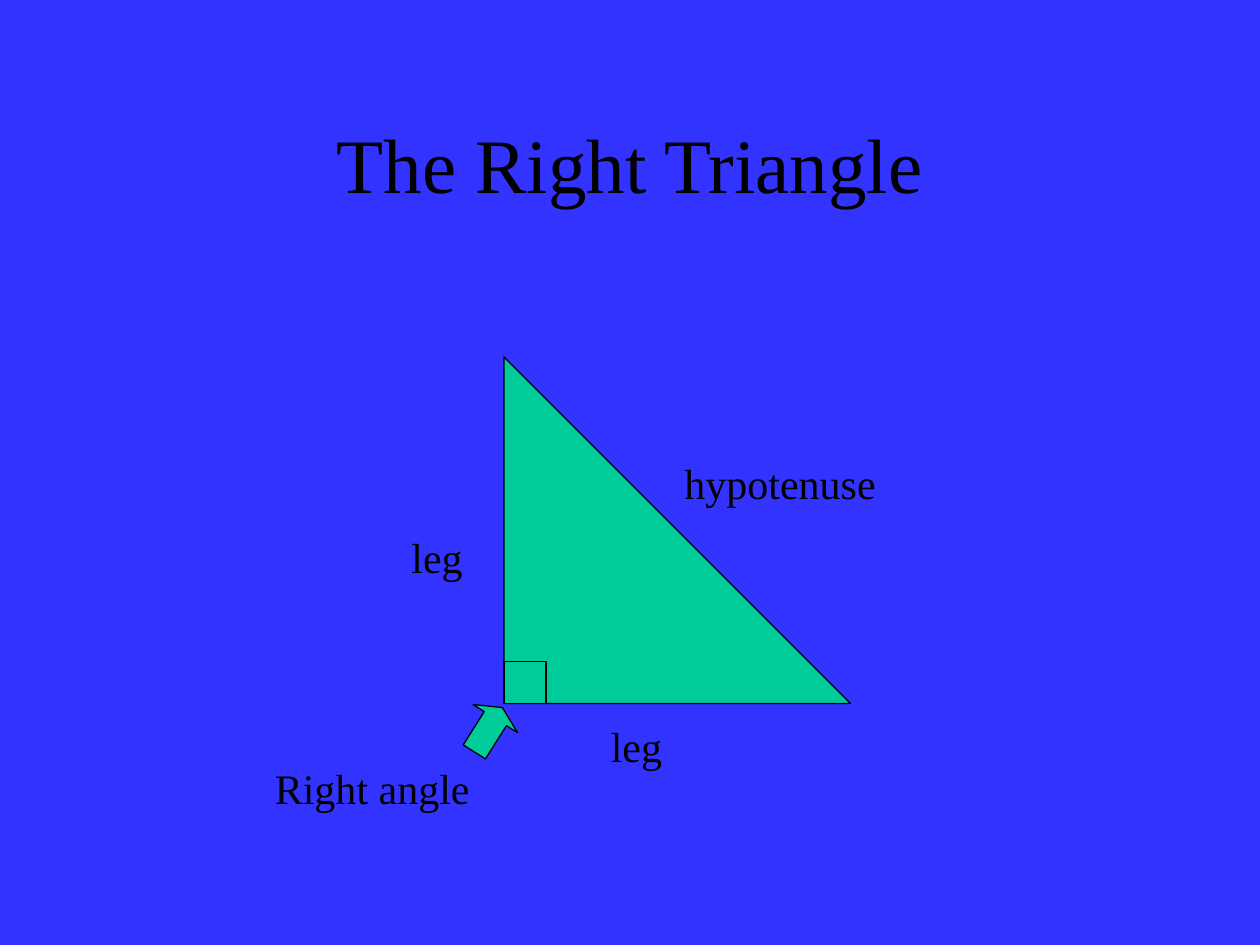
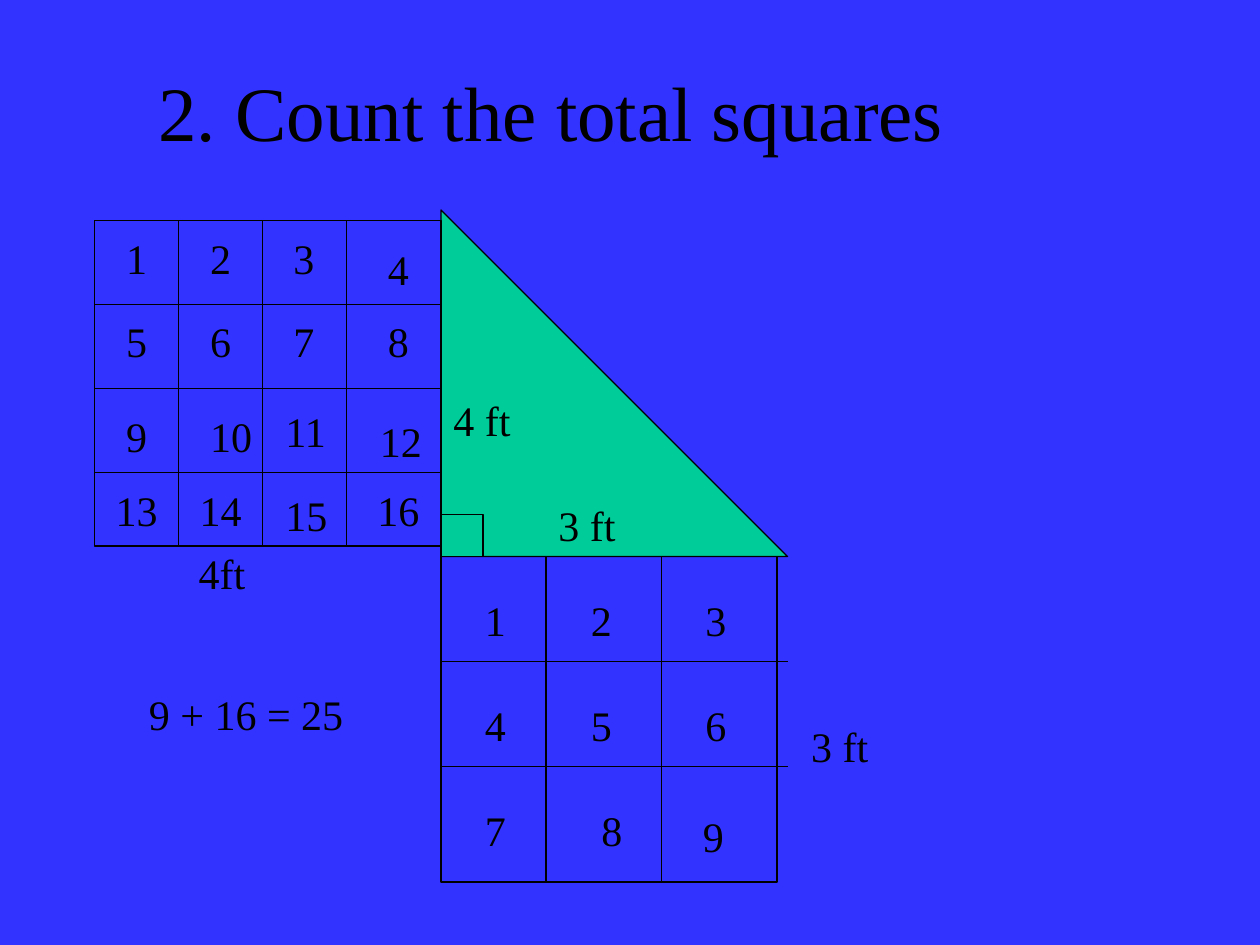
from dataclasses import dataclass

from lxml import etree
from pptx import Presentation
from pptx.dml.color import RGBColor
from pptx.enum import shapes, text
from pptx.oxml.ns import qn
from pptx.util import Pt


@dataclass(frozen=True)
class Theme:
    background: RGBColor = RGBColor(0x33, 0x33, 0xFF)
    triangle: RGBColor = RGBColor(0x00, 0xCC, 0x99)
    ink: RGBColor = RGBColor(0, 0, 0)
    font: str = "Times New Roman"
    title_size: int = 44
    label_size: int = 24
    line_width: float = 0.75


theme = Theme()


def write(shape, words, size, alignment, anchor):
    frame = shape.text_frame
    frame.text = words
    frame.word_wrap = False
    frame.auto_size = text.MSO_AUTO_SIZE.NONE
    frame.vertical_anchor = anchor
    paragraph = frame.paragraphs[0]
    paragraph.alignment = alignment
    paragraph.font.name = theme.font
    paragraph.font.size = Pt(size)
    paragraph.font.color.rgb = theme.ink


def add_figure(slide, kind, left, top, width, height, filled=True):
    shape = slide.shapes.add_shape(kind, Pt(left), Pt(top), Pt(width), Pt(height))
    shape.shadow.inherit = False
    if filled:
        shape.fill.solid()
        shape.fill.fore_color.rgb = theme.triangle
    else:
        shape.fill.background()
    shape.line.color.rgb = theme.ink
    shape.line.width = Pt(theme.line_width)
    return shape


presentation = Presentation()
presentation.slide_width = Pt(720)
presentation.slide_height = Pt(540)
master_fill = presentation.slide_master.background.fill
master_fill.solid()
master_fill.fore_color.rgb = theme.background

leg = 198
corner = 24
label_height = 36

parts_labels = [
    ("leg", 342, 408, 67),
    ("leg", 228, 300, 43),
    ("hypotenuse", 384, 258, 124),
    ("Right angle", 150, 432, 125),
]
count_labels = [
    ("3 ft", 312, 282, 48),
    ("4 ft", 252, 222, 48),
    ("4ft", 106.5, 309.5, 41),
    ("3 ft", 456.5, 408, 47),
    ("9 + 16 = 25", 78, 390, 125),
]

square_grids = [
    {
        "box": (54, 126, 198, 186),
        "line_right": 252,
        "column_lines": [102, 150, 198],
        "row_lines": [174, 222, 270],
        "number_lefts": [65, 113, 160.5, 214.5],
        "number_tops": [129.5, 177, 231, 273.5],
        "nudges": {4: (0, 6), 11: (-4.5, -3), 12: (-4.5, 3), 13: (-6, 0),
                   14: (-6, 0), 15: (-4.5, 2.5), 16: (-6, 0)},
    },
    {
        "box": (252, 318, 192, 186),
        "line_right": 450,
        "column_lines": [312, 378],
        "row_lines": [378, 438],
        "number_lefts": [270, 330.5, 396],
        "number_tops": [336, 396, 456],
        "nudges": {8: (6, 0), 9: (-1.5, 3.5)},
    },
]

grid_lines = []
for grid in square_grids:
    left, top, width, height = grid["box"]
    grid_lines += [(x, top, x, top + height) for x in grid["column_lines"]]
    grid_lines += [(left, y, grid["line_right"], y) for y in grid["row_lines"]]
    columns = len(grid["number_lefts"])
    for row, number_top in enumerate(grid["number_tops"]):
        for column, number_left in enumerate(grid["number_lefts"]):
            number = row * columns + column + 1
            shift_x, shift_y = grid["nudges"].get(number, (0, 0))
            number_width = 26 if number < 10 else 38
            count_labels.append((str(number), number_left + shift_x, number_top + shift_y, number_width))

lessons = [
    ("The Right Triangle", (54, 48, 612, 90), (288, 204), parts_labels),
    ("2. Count the total squares", (24, 18, 582, 90), (252, 120), count_labels),
]

for heading, title_box, (left, top), labels in lessons:
    slide = presentation.slides.add_slide(presentation.slide_layouts[5])
    title = slide.shapes.title
    title.left, title.top, title.width, title.height = map(Pt, title_box)
    write(title, heading, theme.title_size, text.PP_ALIGN.CENTER, text.MSO_ANCHOR.MIDDLE)
    add_figure(slide, shapes.MSO_SHAPE.RIGHT_TRIANGLE, left, top, leg, leg)
    add_figure(slide, shapes.MSO_SHAPE.RECTANGLE, left, top + leg - corner, corner, corner)
    for words, label_left, label_top, label_width in labels:
        label = slide.shapes.add_textbox(Pt(label_left), Pt(label_top), Pt(label_width), Pt(label_height))
        write(label, words, theme.label_size, text.PP_ALIGN.LEFT, text.MSO_ANCHOR.TOP)

parts_slide, count_slide = presentation.slides

arrow = add_figure(parts_slide, shapes.MSO_SHAPE.LEFT_ARROW, 264, 402, 30, 30)
arrow.adjustments[1] = 0.25
arrow.rotation = 122.3

for grid in square_grids:
    add_figure(count_slide, shapes.MSO_SHAPE.RECTANGLE, *grid["box"], filled=False)

for ends in grid_lines:
    connector = count_slide.shapes.add_connector(shapes.MSO_CONNECTOR.STRAIGHT, *map(Pt, ends))
    connector.line.color.rgb = theme.ink
    connector.line.width = Pt(theme.line_width)
    etree.SubElement(connector._element.spPr, qn("a:effectLst"))

presentation.save("out.pptx")
